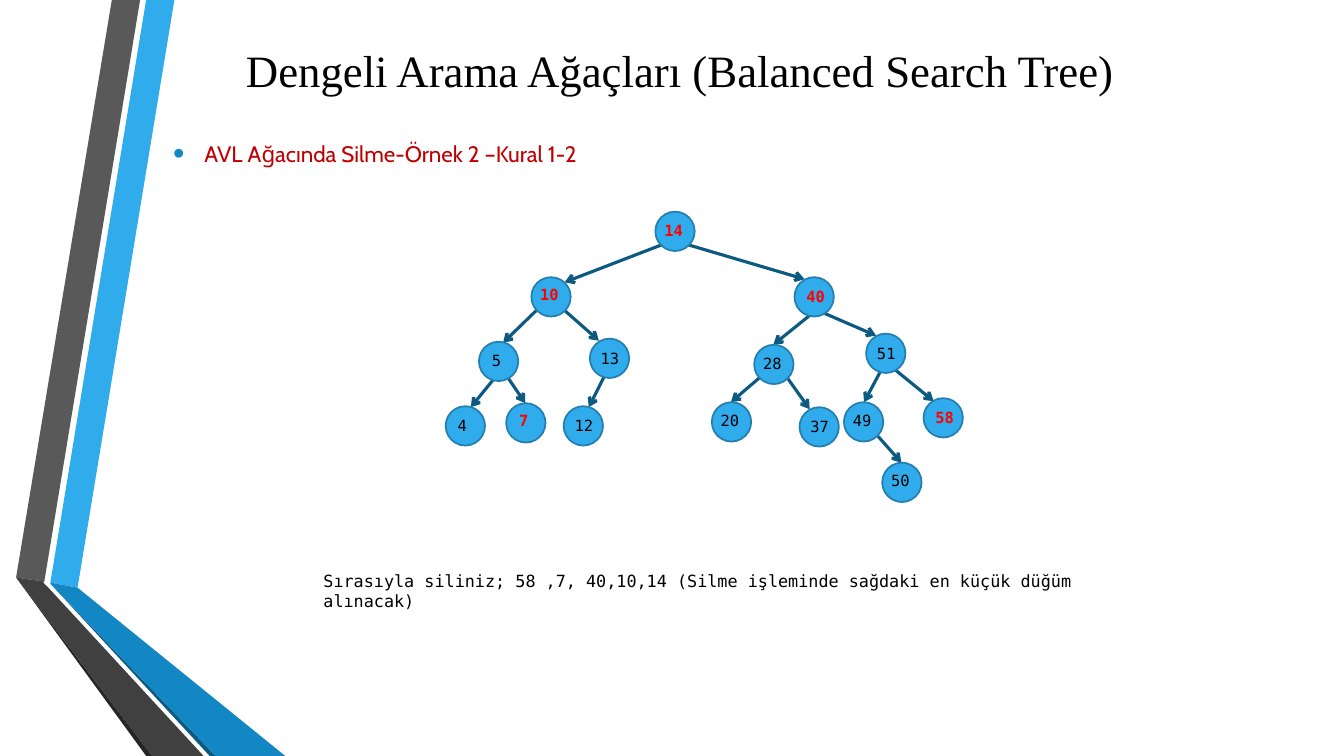
from lxml import etree
from pptx import Presentation
from pptx import util as u
from pptx.dml.color import RGBColor
from pptx.enum import shapes, text
from pptx.oxml.ns import qn

MONO = "DejaVu Sans Mono"
BLACK, RED, DARK_RED = "000000", "FF0000", "C00000"
SKY, BLUE, NAVY, RIM = "30ACEC", "1287C3", "0C5A82", "247FAF"
NODE_SIZE = 0.39

# Ribbon faces: colour, corner points
RIBBONS = [
    (SKY, [(0.5, 5.78), (0.77, 5.83), (1.73, 0), (1.45, 0)]),
    ("595959", [(1.39, 0), (1.11, 0), (0.16, 5.73), (0.44, 5.77)]),
    ("262626", [(0.16, 5.73), (1.45, 7.5), (1.51, 7.5)]),
    (NAVY, [(0.5, 5.79), (2.08, 7.5), (2.14, 7.5)]),
    (BLUE, [(0.5, 5.79), (2.14, 7.5), (2.83, 7.5), (0.77, 5.83), (0.5, 5.78)]),
    ("404040", [(2.02, 7.5), (0.48, 5.83), (0.43, 5.78), (0.44, 5.77),
                (0.16, 5.73), (1.51, 7.5)]),
]

# Tree nodes: key, circle corner, label shift from that corner
NODES = [
    (14, (6.5, 2.1), (-0.01, 0.04)),
    (10, (5.27, 2.75), (-0.01, 0.03)),
    (40, (7.88, 2.75), (0.02, 0.05)),
    (5, (4.75, 3.39), (0.03, 0.04)),
    (13, (5.85, 3.36), (0.01, 0.05)),
    (28, (7.48, 3.42), (-0.01, 0.04)),
    (51, (8.59, 3.31), (0.01, 0.05)),
    (4, (4.42, 4.03), (0.02, 0.05)),
    (7, (5.02, 4.0), (0.03, 0.03)),
    (12, (5.59, 4.03), (0.01, 0.05)),
    (20, (7.06, 3.99), (-0.01, 0.04)),
    (37, (7.93, 4.04), (0.01, 0.05)),
    (49, (8.37, 3.99), (-0.01, 0.04)),
    (58, (9.16, 3.95), (0.02, 0.05)),
    (50, (8.75, 4.59), (-0.01, 0.03)),
]
DELETED = {58, 7, 40, 10, 14}

# Arrows from parent to child: start, end
EDGES = [
    ((6.56, 2.43), (5.6, 2.8)), ((6.83, 2.43), (7.98, 2.77)),
    ((5.32, 3.08), (4.99, 3.4)), ((5.6, 3.08), (5.94, 3.38)),
    ((8.03, 3.13), (7.67, 3.42)), ((8.18, 3.11), (8.69, 3.33)),
    ((4.89, 3.77), (4.67, 4.04)), ((5.04, 3.75), (5.21, 4.0)),
    ((5.99, 3.74), (5.84, 4.04)),
    ((7.53, 3.75), (7.25, 3.99)), ((7.81, 3.75), (8.03, 4.06)),
    ((8.73, 3.69), (8.57, 3.99)), ((8.88, 3.67), (9.26, 3.98)),
    ((8.71, 4.33), (8.94, 4.59)),
]


def color(value):
    return RGBColor.from_string(value)


class TreePage:
    def __init__(self, deck):
        self.page = deck.slides.add_slide(deck.slide_layouts[6])
        self.items = self.page.shapes

    def ribbon(self, fill, points):
        corners = [(u.Inches(x), u.Inches(y)) for x, y in points]
        builder = self.items.build_freeform(*corners[0], scale=1.0)
        builder.add_line_segments(corners[1:], close=True)
        face = builder.convert_to_shape()
        face.shadow.inherit = False
        face.fill.solid()
        face.fill.fore_color.rgb = color(fill)
        face.line.fill.background()

    def text(self, place, words, size, font, ink, bold=False):
        box = self.items.add_textbox(*map(u.Inches, place))
        frame = box.text_frame
        frame.word_wrap = True
        frame.text = words
        para = frame.paragraphs[0]
        span = para.runs[0]
        span.font.size = u.Pt(size)
        span.font.name = font
        span.font.bold = bold
        span.font.color.rgb = color(ink)
        return frame, para

    def title(self, place, words):
        frame, para = self.text(place, words, 32, "Times New Roman", BLACK)
        frame.vertical_anchor = text.MSO_ANCHOR.MIDDLE
        para.alignment = text.PP_ALIGN.CENTER

    def bullet(self, place, words):
        para = self.text(place, words, 16, "Cabin", DARK_RED)[1]
        para.line_spacing = 1.5
        props = para._p.get_or_add_pPr()
        props.set("marL", str(u.Inches(0.31)))
        props.set("indent", str(-u.Inches(0.31)))
        tint = etree.SubElement(props, qn("a:buClr"))
        etree.SubElement(tint, qn("a:srgbClr"), val=BLUE)
        etree.SubElement(props, qn("a:buSzPct"), val="145000")
        etree.SubElement(props, qn("a:buFont"), typeface="Arial")
        etree.SubElement(props, qn("a:buChar"), char="•")

    def node(self, key, corner, shift):
        left, top = corner
        circle = self.items.add_shape(
            shapes.MSO_SHAPE.OVAL, u.Inches(left), u.Inches(top),
            u.Inches(NODE_SIZE), u.Inches(NODE_SIZE))
        circle.shadow.inherit = False
        circle.fill.solid()
        circle.fill.fore_color.rgb = color(SKY)
        circle.line.color.rgb = color(RIM)
        circle.line.width = u.Pt(1.25)
        gone = key in DELETED
        place = (left + shift[0], top + shift[1], 0.4, 0.29)
        self.text(place, str(key), 11, MONO, RED if gone else BLACK, gone)

    def arrow(self, start, end):
        edge = self.items.add_connector(
            shapes.MSO_CONNECTOR.STRAIGHT, *map(u.Inches, start + end))
        edge.line.color.rgb = color(NAVY)
        edge.line.width = u.Pt(2.25)
        etree.SubElement(edge.line._get_or_add_ln(), qn("a:tailEnd"), type="arrow")
        etree.SubElement(edge._element.spPr, qn("a:effectLst"))


def main():
    deck = Presentation()
    deck.slide_width, deck.slide_height = u.Inches(13.33), u.Inches(7.5)
    page = TreePage(deck)

    # Folded ribbon on the left
    for fill, points in RIBBONS:
        page.ribbon(fill, points)

    # Heading and instructions
    page.title((1.55, 0.17, 10.39, 1.04),
               "Dengeli Arama Ağaçları (Balanced Search Tree)")
    page.bullet((1.62, 1.21, 10.94, 0.88), "AVL Ağacında Silme-Örnek 2 –Kural 1-2")
    page.text((3.11, 5.61, 8.27, 0.3),
              "Sırasıyla siliniz; 58 ,7, 40,10,14 "
              "(Silme işleminde sağdaki en küçük düğüm alınacak)",
              12, MONO, BLACK)

    # AVL tree
    for start, end in EDGES:
        page.arrow(start, end)
    for key, corner, shift in NODES:
        page.node(key, corner, shift)

    deck.save("out.pptx")


if __name__ == "__main__":
    main()
